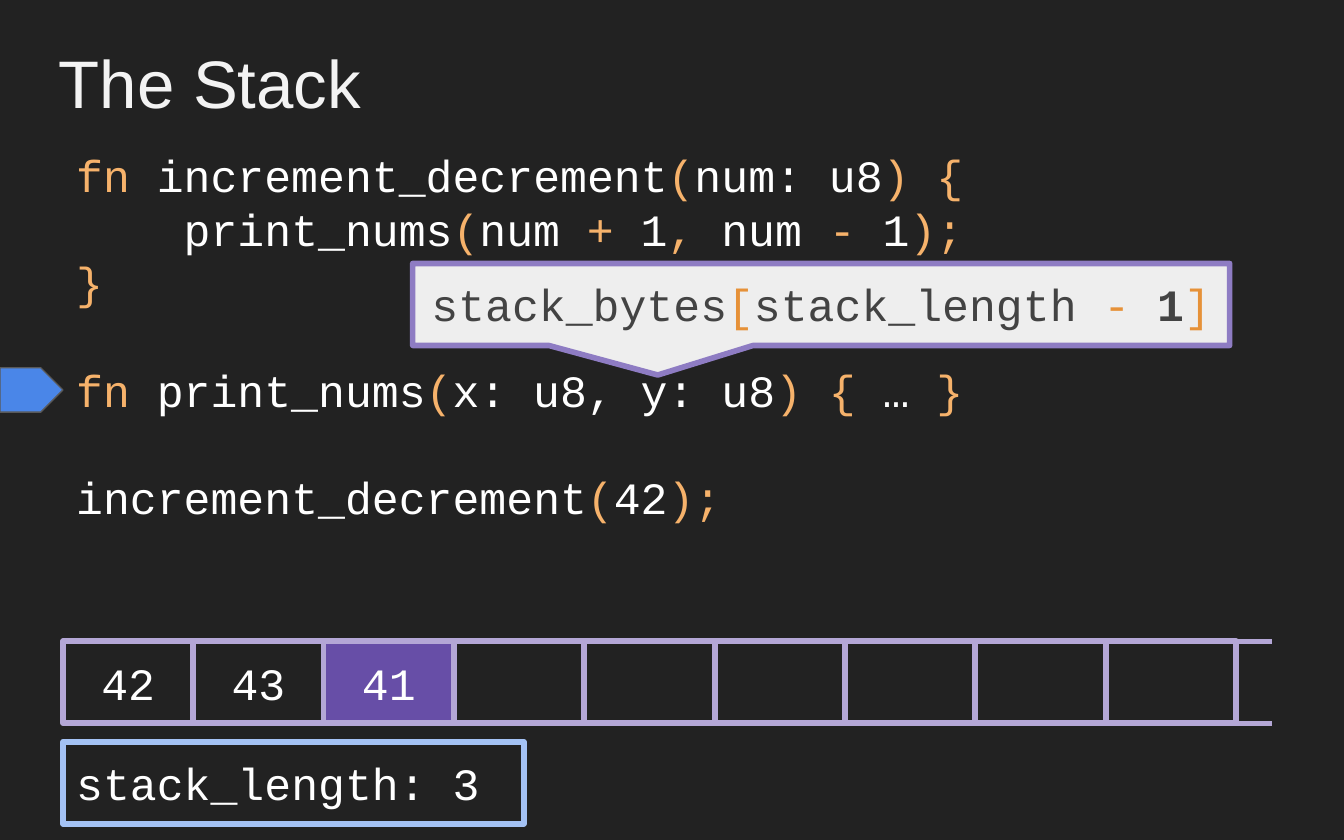
from lxml import etree
from pptx import Presentation
from pptx.dml.color import RGBColor
from pptx.enum.shapes import MSO_CONNECTOR, MSO_SHAPE
from pptx.enum.text import MSO_ANCHOR, PP_ALIGN
from pptx.oxml.ns import qn
from pptx.util import Cm, Pt

RECT, MARKER, CALLOUT = MSO_SHAPE.RECTANGLE, MSO_SHAPE.PENTAGON, MSO_SHAPE.RECTANGULAR_CALLOUT
LEFT, CENTER = PP_ALIGN.LEFT, PP_ALIGN.CENTER
TOP, MIDDLE = MSO_ANCHOR.TOP, MSO_ANCHOR.MIDDLE
SANS, MONO = "Arial", "Courier New"

BACKGROUND, WHITE, ORANGE, LILAC = "222222", "FFFFFF", "F6B26B", "B4A7D6"
TITLE = "The Stack"

# Pieces between bars alternate: syntax colour first, then plain text.
CODE = [
    "fn| increment_decrement|(|num: u8|) {",
    "|    print_nums|(|num |+| 1|,| num |-| 1|);",
    "}",
    "fn| print_nums|(|x: u8, y: u8|) {| … |}",
    "|increment_decrement|(|42|);",
]
AFTER_GAP = (3, 4)  # lines that follow an empty line
LINE_HEIGHT = 28.75
CALLOUT_CODE = "|stack_bytes|[|stack_length |- |1|]"

STACK = ["42", "43", "41", "", "", "", "", "", ""]
TOP_OF_STACK = 2
STACK_LENGTH = "stack_length: 3"

MARGIN, ROW_WIDTH, ROW_TOP, ROW_HEIGHT = 1.19, 22.17, 12.12, 1.55
CELL_WIDTH = ROW_WIDTH / len(STACK)


def rgb(color):
    return RGBColor.from_string(color)


def style_run(run, color, size=24, font=MONO, bold=False):
    run.font.name, run.font.size, run.font.bold = font, Pt(size), bold
    run.font.color.rgb = rgb(color)


def set_frame(shape, anchor):
    frame = shape.text_frame
    frame.word_wrap = True
    frame.vertical_anchor = anchor
    frame.margin_left = frame.margin_right = Cm(0.25)
    frame.margin_top = frame.margin_bottom = Cm(0.25)
    return frame


def add_text(shape, text, color=WHITE, align=LEFT, anchor=MIDDLE, **font):
    paragraph = set_frame(shape, anchor).paragraphs[0]
    paragraph.text = text
    paragraph.alignment = align
    style_run(paragraph.runs[0], color, **font)


def add_code(paragraph, line, colors):
    """Append the pieces of a marked-up line, alternating between two colours."""
    for index, piece in enumerate(line.split("|")):
        if piece:
            run = paragraph.add_run()
            run.text = piece
            style_run(run, colors[index % 2])


def add_box(slide, kind, place, border, width=3, fill=None):
    box = slide.shapes.add_shape(kind, *map(Cm, place))
    box.shadow.inherit = False
    if fill:
        box.fill.solid()
        box.fill.fore_color.rgb = rgb(fill)
    else:
        box.fill.background()
    box.line.color.rgb = rgb(border)
    box.line.width = Pt(width)
    return box


def add_edge(slide, start, end, y):
    edge = slide.shapes.add_connector(MSO_CONNECTOR.STRAIGHT, Cm(start), Cm(y), Cm(end), Cm(y))
    edge.line.color.rgb = rgb(LILAC)
    edge.line.width = Pt(3)
    etree.SubElement(edge._element.spPr, qn("a:effectLst"))


def main():
    deck = Presentation()
    deck.slide_width, deck.slide_height = Cm(25.4), Cm(15.875)
    slide = deck.slides.add_slide(deck.slide_layouts[6])
    slide.background.fill.solid()
    slide.background.fill.fore_color.rgb = rgb(BACKGROUND)

    title = slide.shapes.add_textbox(Cm(0.86), Cm(0.53), Cm(15.44), Cm(2.29))
    add_text(title, TITLE, "F3F3F3", anchor=TOP, size=36, font=SANS)

    # The open right end shows that the stack goes on.
    for y in (ROW_TOP, ROW_TOP + ROW_HEIGHT):
        add_edge(slide, 22.12, 24.03, y)
    for index, value in enumerate(STACK):
        place = (MARGIN + index * CELL_WIDTH, ROW_TOP, CELL_WIDTH, ROW_HEIGHT)
        fill = "674EA7" if index == TOP_OF_STACK else None
        cell = add_box(slide, RECT, place, LILAC, fill=fill)
        if value:
            add_text(cell, value, align=CENTER)

    listing = slide.shapes.add_textbox(Cm(MARGIN), Cm(2.54), Cm(ROW_WIDTH), Cm(7.8))
    frame = set_frame(listing, TOP)
    for index, line in enumerate(CODE):
        paragraph = frame.add_paragraph() if index else frame.paragraphs[0]
        if index in AFTER_GAP:
            paragraph.space_before = Pt(LINE_HEIGHT)
        add_code(paragraph, line, (ORANGE, WHITE))

    counter = add_box(slide, RECT, (MARGIN, 14.02, 8.71, ROW_HEIGHT), "A4C2F4")
    add_text(counter, STACK_LENGTH)

    marker = add_box(slide, MARKER, (0, 6.95, MARGIN, 0.84), "595959", 0.75, "4A86E8")
    marker.adjustments[0] = 0.5

    callout = add_box(slide, CALLOUT, (7.8, 4.98, 15.44, ROW_HEIGHT), "8E7CC3", fill="EEEEEE")
    callout.adjustments[0], callout.adjustments[1] = -0.2, 0.86
    expression = set_frame(callout, TOP).paragraphs[0]
    expression.alignment = CENTER
    add_code(expression, CALLOUT_CODE, ("E69138", "434343"))
    expression.runs[-2].font.bold = True

    deck.save("out.pptx")


if __name__ == "__main__":
    main()
